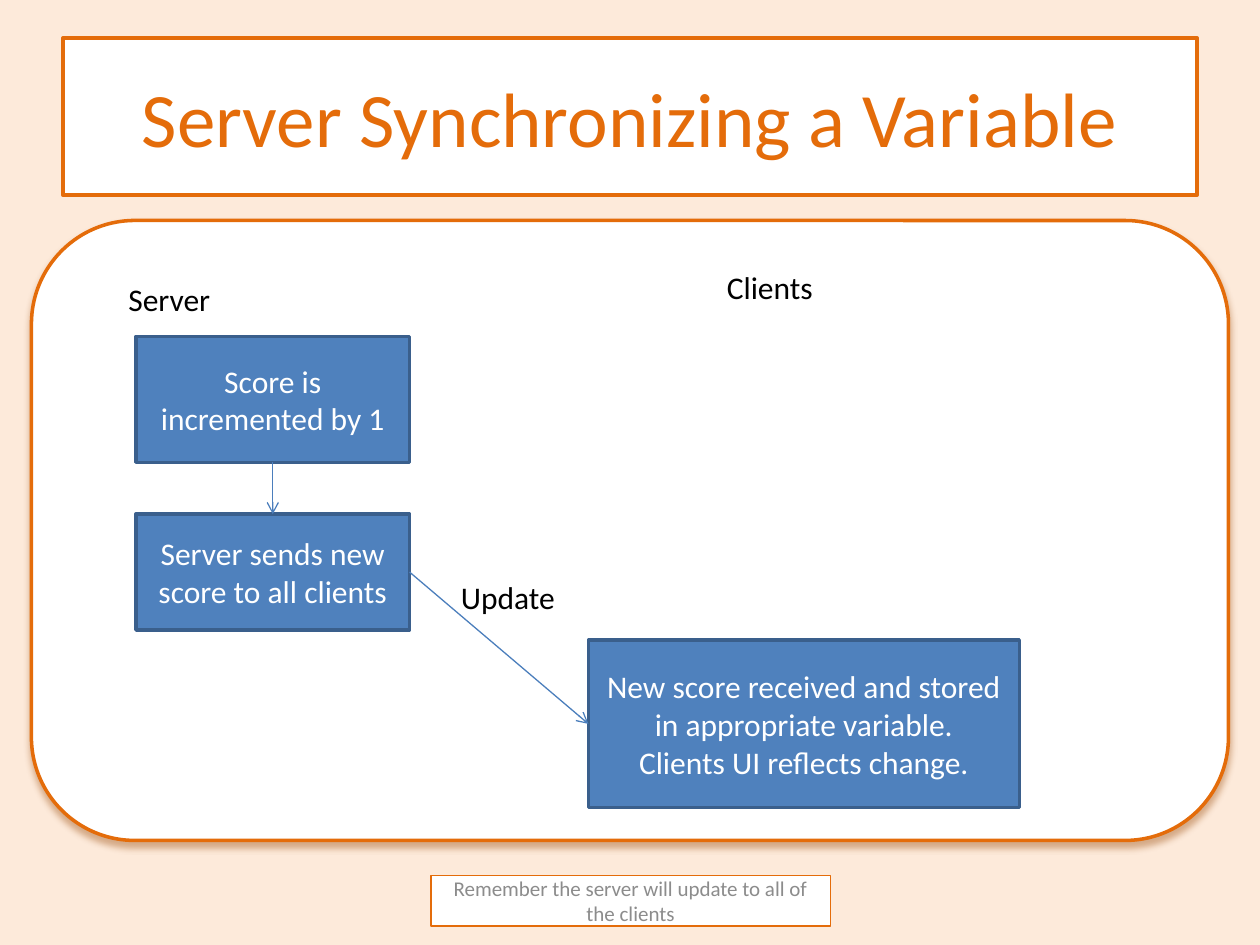
"""Build a slide showing how a server synchronizes a variable with its clients."""
from lxml import etree
from pptx import Presentation
from pptx.dml.color import RGBColor
from pptx.enum import shapes, text
from pptx.oxml import ns
from pptx.util import Inches, Pt

COLORS = {
    "background": "FDEADA", "white": "FFFFFF", "orange": "E46C0A",
    "blue": "4F81BD", "blue_edge": "3A5F8C", "arrow": "4B7EBC",
    "black": "000000", "gray": "8C8C8C", "shadow": "984807",
}


def write(shape, paragraphs, size, color, align):
    frame = shape.text_frame
    frame.word_wrap = True
    for index, words in enumerate(paragraphs):
        paragraph = frame.add_paragraph() if index else frame.paragraphs[0]
        paragraph.alignment = align
        run = paragraph.add_run()
        run.text = words
        run.font.name = "Calibri"
        run.font.size = Pt(size)
        run.font.color.rgb = RGBColor.from_string(COLORS[color])


def add_box(place, fill, edge, width, paragraphs=(), size=18, color="white",
            kind=shapes.MSO_SHAPE.RECTANGLE):
    box = slide.shapes.add_shape(kind, *map(Inches, place))
    box.shadow.inherit = False
    box.fill.solid()
    box.fill.fore_color.rgb = RGBColor.from_string(COLORS[fill])
    box.line.color.rgb = RGBColor.from_string(COLORS[edge])
    box.line.width = Pt(width)
    box.text_frame.vertical_anchor = text.MSO_ANCHOR.MIDDLE
    write(box, paragraphs, size, color, text.PP_ALIGN.CENTER)
    return box


deck = Presentation()
deck.slide_width, deck.slide_height = Inches(10), Inches(7.5)
slide = deck.slides.add_slide(deck.slide_layouts[6])
slide.background.fill.solid()
slide.background.fill.fore_color.rgb = RGBColor.from_string(COLORS["background"])

panel = add_box((0.25, 1.75, 9.5, 4.92), "white", "orange", 2,
                kind=shapes.MSO_SHAPE.ROUNDED_RECTANGLE)
effects = panel._element.spPr.find(ns.qn("a:effectLst"))
shadow = etree.SubElement(effects, ns.qn("a:outerShdw"), blurRad=str(Pt(4)),
                          dist=str(Pt(3)), dir="5400000", rotWithShape="0")
shadow_color = etree.SubElement(shadow, ns.qn("a:srgbClr"), val=COLORS["shadow"])
etree.SubElement(shadow_color, ns.qn("a:alpha"), val="40000")

add_box((0.5, 0.3, 9, 1.25), "white", "orange", 2,
        ["Server Synchronizing a Variable"], 44, "orange")

steps = [
    add_box(place, "blue", "blue_edge", 2, paragraphs)
    for place, paragraphs in [
        ((1.08, 2.67, 2.17, 1), ["Score is incremented by 1"]),
        ((1.08, 4.08, 2.17, 0.92), ["Server sends new score to all clients"]),
        ((4.67, 5.08, 3.42, 1.33),
         ["New score received and stored in appropriate variable.",
          "Clients UI reflects change."]),
    ]
]

for source, target, source_side, target_side in [(*steps[:2], 2, 0), (*steps[1:], 3, 1)]:
    arrow = slide.shapes.add_connector(shapes.MSO_CONNECTOR.STRAIGHT, 0, 0, 0, 0)
    arrow.begin_connect(source, source_side)
    arrow.end_connect(target, target_side)
    arrow.line.color.rgb = RGBColor.from_string(COLORS["arrow"])
    arrow.line.width = Pt(0.75)
    etree.SubElement(arrow.line._get_or_add_ln(), ns.qn("a:tailEnd"), type="arrow")
    etree.SubElement(arrow._element.spPr, ns.qn("a:effectLst"))

add_box((3.42, 6.95, 3.17, 0.4), "white", "orange", 0.75,
        ["Remember the server will update to all of the clients"], 12, "gray")

for words, place in [
    ("Server", (0.92, 2.17, 2.75, 0.42)),
    ("Clients", (5.67, 2.08, 2.83, 0.4)),
    ("Update", (3.56, 4.54, 2.08, 0.4)),
]:
    label = slide.shapes.add_textbox(*map(Inches, place))
    write(label, [words], 18, "black", text.PP_ALIGN.LEFT)

deck.save("out.pptx")
